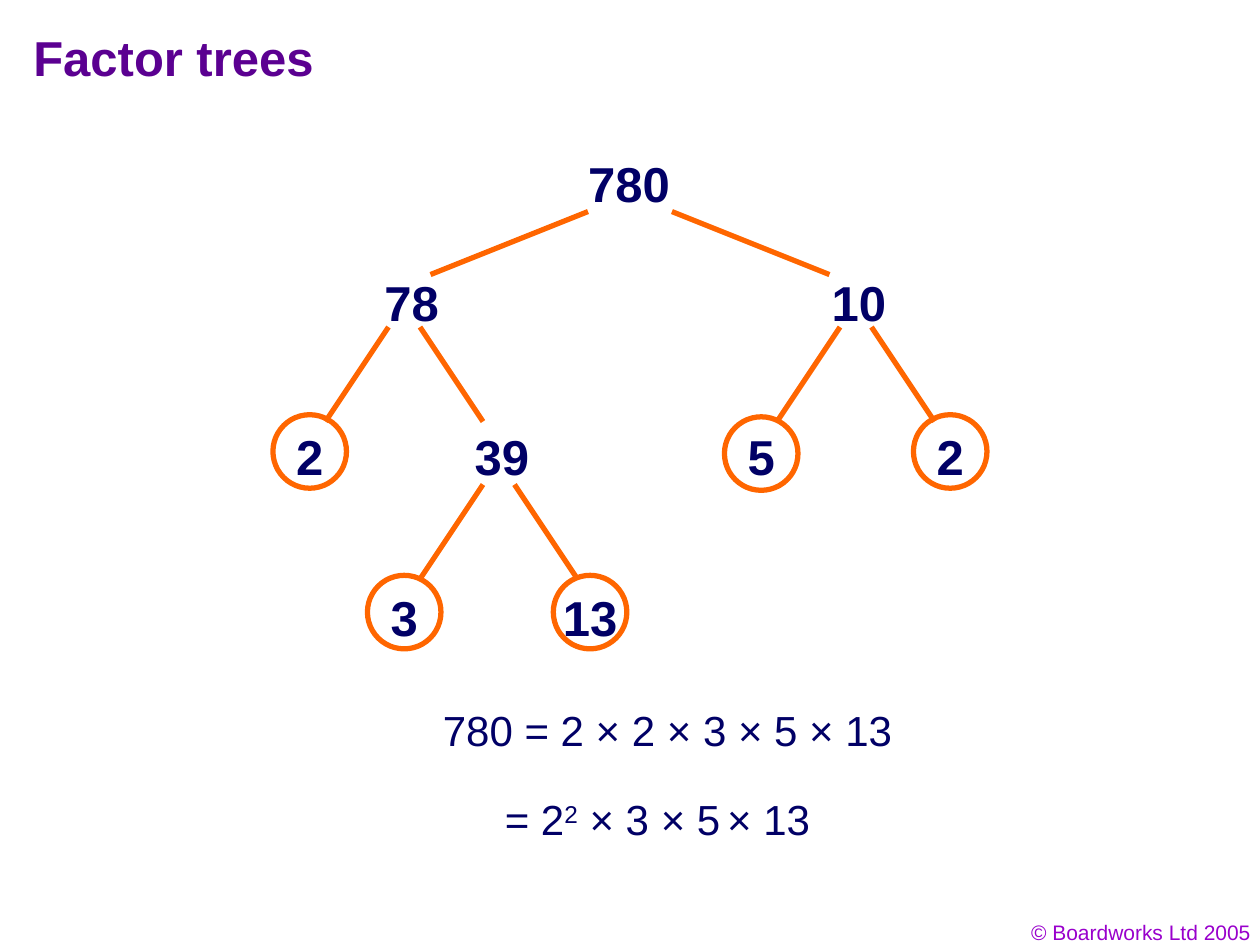
from lxml import etree
from pptx import Presentation
from pptx.dml.color import RGBColor
from pptx.enum import shapes, text
from pptx.oxml import ns
from pptx.util import Inches, Pt

COLORS = {"number": "010066", "branch": "FF6600", "title": "5B0091", "credit": "9900CC"}
UNIT = Inches(1) / 12  # side of a grid cell; the slide is 120 columns by 90 rows
CIRCLE = 7

deck = Presentation()
deck.slide_width, deck.slide_height = Inches(10), Inches(7.5)
page = deck.slides.add_slide(deck.slide_layouts[6])


def cells(*counts):
    """Turn counts of grid cells into slide lengths."""
    return [round(count * UNIT) for count in counts]


def add_text(words, left, top, width, height, size=28, color="number", bold=False,
             align=text.PP_ALIGN.LEFT, wrap=True):
    """Words is a string, or a list of (string, superscript) pairs."""
    box = page.shapes.add_textbox(*cells(left, top, width, height))
    box.text_frame.word_wrap = wrap
    para = box.text_frame.paragraphs[0]
    para.alignment = align
    for string, raised in [(words, False)] if isinstance(words, str) else words:
        span = para.add_run()
        span.text = string
        span.font.name, span.font.size, span.font.bold = "Arial", Pt(size), bold
        span.font.color.rgb = RGBColor.from_string(COLORS[color])
        if raised:
            span.font._element.set("baseline", "30000")


add_text("Factor trees", 2, 2, 35.2, 8.3, color="title", bold=True)

# Each fork: middle column, top row, half the gap at the top, run, drop
forks = [
    (60, 20.15, 4, 15, 6),
    (38.5, 31.15, 1.5, 6, 9),
    (81.5, 31.15, 1.5, 6, 9),
    (47.5, 46.15, 1.5, 6, 9),
]
for middle, row, gap, run, drop in forks:
    for side in (-1, 1):
        branch = page.shapes.add_connector(
            shapes.MSO_CONNECTOR.STRAIGHT,
            *cells(middle + side * gap, row, middle + side * (gap + run), row + drop))
        branch.line.color.rgb = RGBColor.from_string(COLORS["branch"])
        branch.line.width = Pt(3)
        etree.SubElement(branch._element.spPr, ns.qn("a:effectLst"))

# Each factor: number, centre column, centre row, centre row of its circle if prime
factors = [
    ("780", 59.9, 17.4, None),
    ("78", 39.2, 28.8, None),
    ("10", 81.8, 28.8, None),
    ("39", 47.8, 43.4, None),
    ("2", 29.5, 43.4, 43),
    ("3", 38.5, 58.8, 58.3),
    ("13", 56.2, 58.8, 58.3),
    ("5", 72.5, 43.4, 43.2),
    ("2", 90.5, 43.4, 43),
]
for number, column, row, circle_row in factors:
    width = 2.4 + 2.6 * len(number)
    add_text(number, column - width / 2, row - 3.4, width, 6.8, bold=True,
             align=text.PP_ALIGN.CENTER, wrap=False)
    if circle_row:
        circle = page.shapes.add_shape(
            shapes.MSO_SHAPE.OVAL,
            *cells(column - CIRCLE / 2, circle_row - CIRCLE / 2, CIRCLE, CIRCLE))
        circle.shadow.inherit = False
        circle.fill.background()
        circle.line.color.rgb = RGBColor.from_string(COLORS["branch"])
        circle.line.width = Pt(3)

add_text("780 = 2 × 2 × 3 × 5 × 13", 41, 66.5, 47, 6, size=24)
add_text([("= 2", False), ("2", True), (" × 3 × 5", False), (" ", True), ("× 13", False)],
         46.9, 75, 34, 6, size=24)
add_text("© Boardworks Ltd 2005", 92.3, 87, 28, 3.6, size=12, color="credit",
         align=text.PP_ALIGN.RIGHT)

deck.save("out.pptx")
